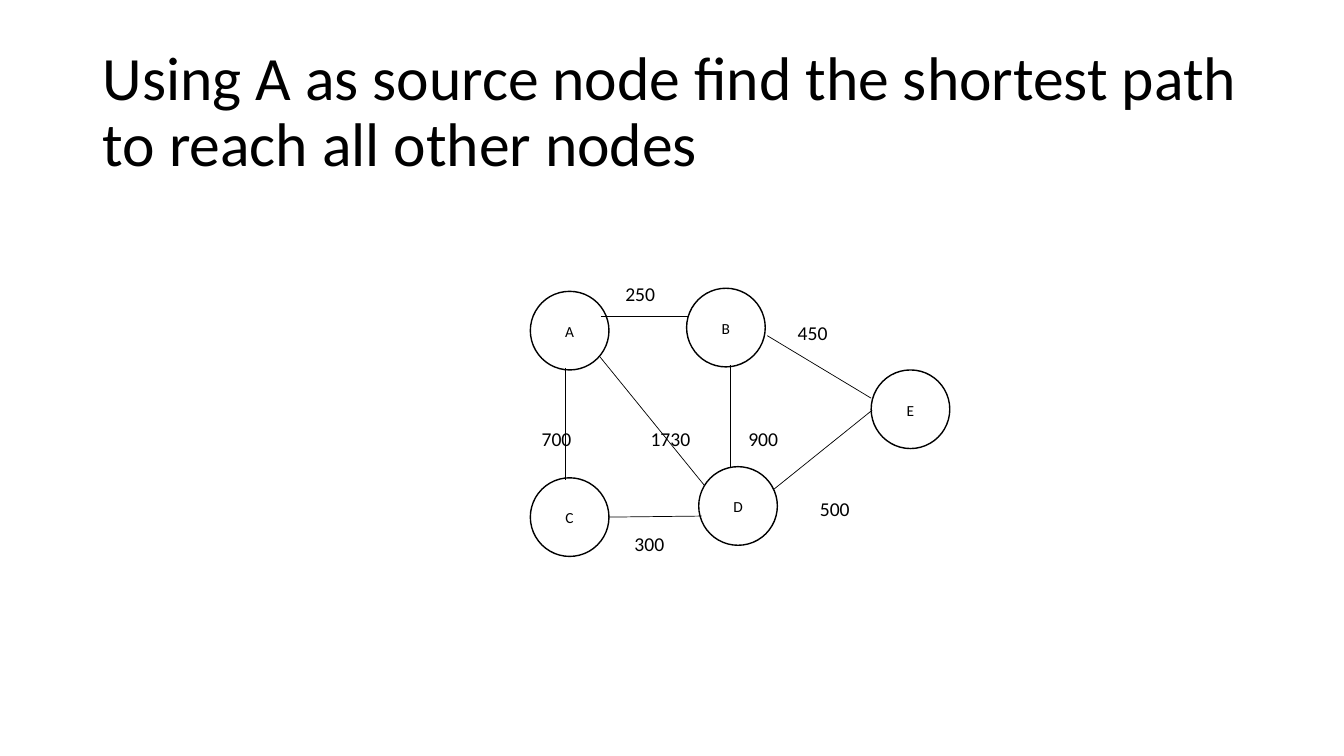
import pptx
import pptx.dml.color
import pptx.enum.shapes
import pptx.enum.text
import pptx.oxml.ns
import pptx.util
from dataclasses import dataclass
from pptx.util import Inches


@dataclass(frozen=True)
class Theme:
    font: str = "Calibri"
    ink: pptx.dml.color.RGBColor = pptx.dml.color.RGBColor(0, 0, 0)
    paper: pptx.dml.color.RGBColor = pptx.dml.color.RGBColor(255, 255, 255)
    title_size: int = 44
    weight_size: int = 14
    node_size: int = 11
    node_line: float = 1
    edge_line: float = 0.5


THEME = Theme()
NODE_DIAMETER = 0.78
WEIGHT_WIDTH, WEIGHT_HEIGHT = 0.5, 0.26

# Node name: left, top
NODES = {
    "A": (5.26, 2.89),
    "E": (8.64, 3.67),
    "C": (5.26, 4.74),
    "D": (6.93, 4.63),
    "B": (6.81, 2.86),
}

# Edge start, edge end, weight, weight centre
EDGES = [
    ((5.96, 3.14), (6.82, 3.14), "250", (6.35, 2.91)),  # A-B
    ((5.61, 3.65), (5.61, 4.76), "700", (5.52, 4.35)),  # A-C
    ((6.04, 5.13), (6.96, 5.12), "300", (6.44, 5.39)),  # C-D
    ((7.24, 3.62), (7.24, 4.63), "900", (7.57, 4.35)),  # B-D
    ((7.61, 3.33), (8.64, 3.95), "450", (8.06, 3.3)),  # B-E
    ((7.68, 4.85), (8.65, 4.07), "500", (8.28, 5.05)),  # D-E
    ((5.95, 3.54), (6.99, 4.82), "1730", (6.65, 4.35)),  # A-D
]


def write_text(shape, text, size, align, margin=0):
    frame = shape.text_frame
    frame.word_wrap = True
    frame.vertical_anchor = pptx.enum.text.MSO_ANCHOR.MIDDLE
    frame.margin_left = frame.margin_right = Inches(margin)
    frame.margin_top = frame.margin_bottom = Inches(margin / 2)
    para = frame.paragraphs[0]
    para.alignment = align
    span = para.add_run()
    span.text = text
    span.font.name = THEME.font
    span.font.size = pptx.util.Pt(size)
    span.font.color.rgb = THEME.ink
    return para


def add_title(page, text):
    box = page.shapes.add_textbox(Inches(0.92), Inches(0.4), Inches(11.5), Inches(1.45))
    para = write_text(box, text, THEME.title_size, pptx.enum.text.PP_ALIGN.LEFT, margin=0.1)
    para.line_spacing = 0.9


def add_weight(page, text, centre):
    x, y = centre
    box = page.shapes.add_textbox(
        Inches(x - WEIGHT_WIDTH / 2), Inches(y - WEIGHT_HEIGHT / 2),
        Inches(WEIGHT_WIDTH), Inches(WEIGHT_HEIGHT))
    write_text(box, text, THEME.weight_size, pptx.enum.text.PP_ALIGN.CENTER)


def add_node(page, name, left, top):
    node = page.shapes.add_shape(
        pptx.enum.shapes.MSO_SHAPE.OVAL, Inches(left), Inches(top),
        Inches(NODE_DIAMETER), Inches(NODE_DIAMETER))
    node.shadow.inherit = False
    node.fill.solid()
    node.fill.fore_color.rgb = THEME.paper
    node.line.color.rgb = THEME.ink
    node.line.width = pptx.util.Pt(THEME.node_line)
    para = write_text(node, name, THEME.node_size, pptx.enum.text.PP_ALIGN.CENTER)
    para.line_spacing = 1.07


def add_edge(page, start, end):
    edge = page.shapes.add_connector(
        pptx.enum.shapes.MSO_CONNECTOR.STRAIGHT,
        *(Inches(length) for length in (*start, *end)))
    edge.line.color.rgb = THEME.ink
    edge.line.width = pptx.util.Pt(THEME.edge_line)
    # An empty effect list removes the shadow
    properties = edge.element.find(pptx.oxml.ns.qn("p:spPr"))
    properties.append(pptx.oxml.parse_xml(f"<a:effectLst {pptx.oxml.ns.nsdecls('a')}/>"))


def main():
    deck = pptx.Presentation()
    deck.slide_width, deck.slide_height = Inches(13.33), Inches(7.5)
    page = deck.slides.add_slide(deck.slide_layouts[6])

    # Title
    add_title(page, "Using A as source node find the shortest path to reach all other nodes")

    # Weighted graph: nodes at the back, then edges with their weights
    for name, (left, top) in NODES.items():
        add_node(page, name, left, top)
    for start, end, weight, centre in EDGES:
        add_edge(page, start, end)
        add_weight(page, weight, centre)

    deck.save("out.pptx")


if __name__ == "__main__":
    main()
